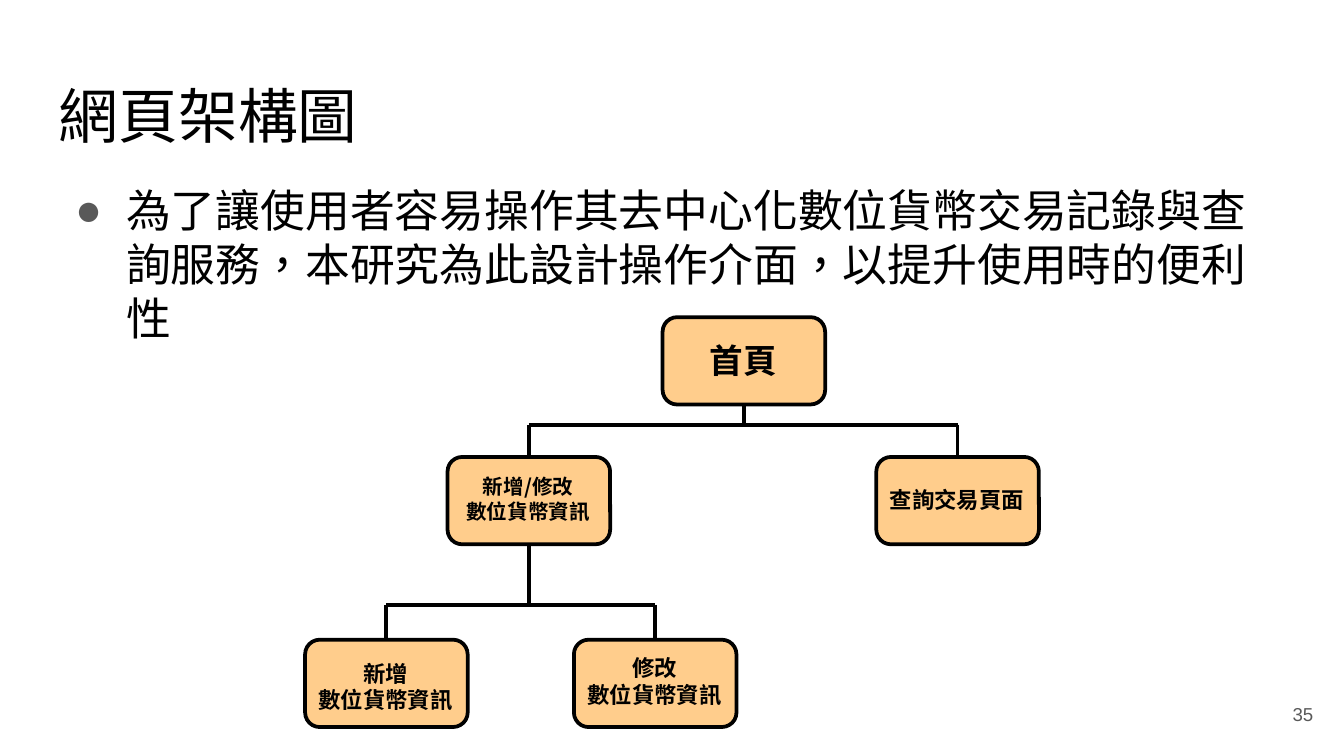
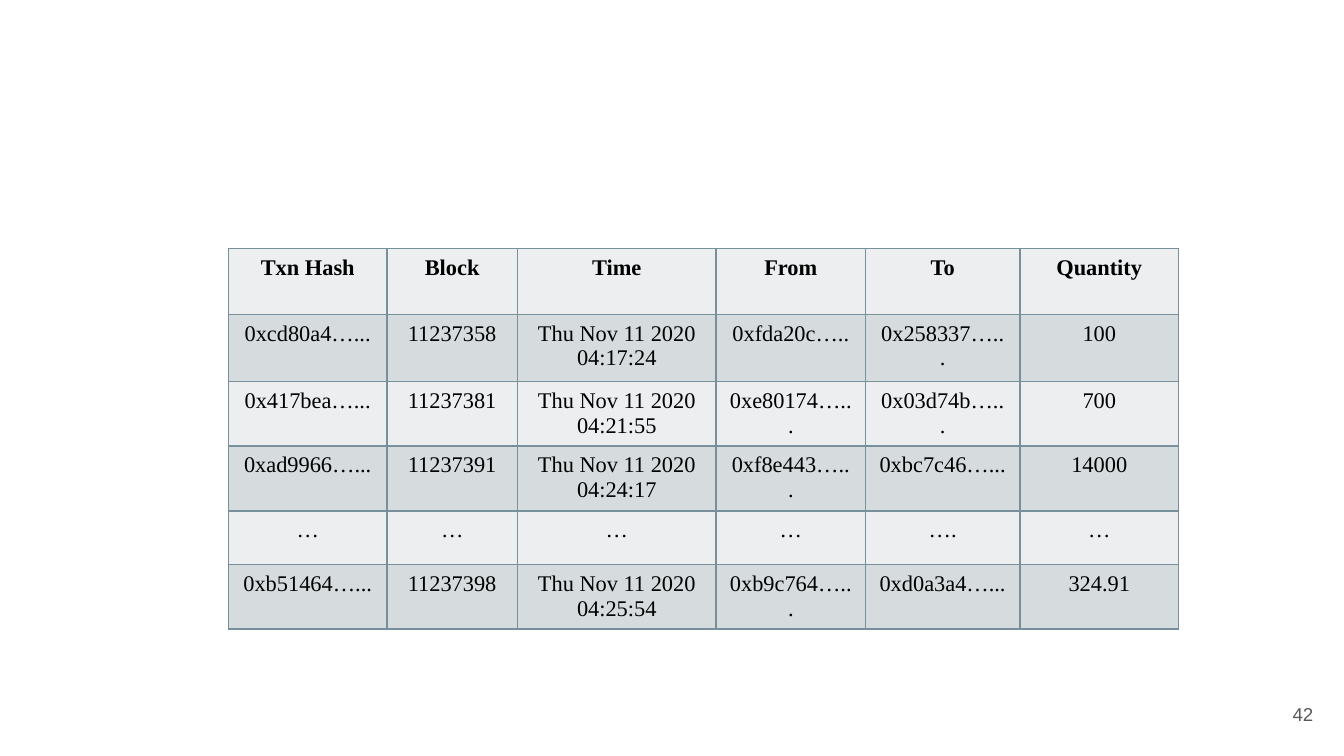
from dataclasses import dataclass

from lxml import etree
from pptx import Presentation
from pptx import util as u
from pptx.dml.color import RGBColor
from pptx.enum import shapes, text
from pptx.oxml import ns


@dataclass(frozen=True)
class Theme:
    ink: str = "000000"
    muted: str = "595959"
    node: str = "FFCD8C"
    border: str = "78909C"
    bands: tuple = ("ECEEEF", "D6DBDE")
    cjk: str = "Noto Sans CJK SC"
    sans: str = "Arial"
    serif: str = "Times New Roman"
    title: int = 32
    body: int = 24
    root: int = 18
    label: int = 12
    small: int = 11
    footer: int = 10
    line: int = 2
    leading: float = 1.2


def color(value):
    return RGBColor.from_string(value)


def add_element(parent, tag, **attributes):
    return etree.SubElement(parent, ns.qn(tag), attributes)


class Deck:
    def __init__(self, theme):
        self.theme = theme
        self.presentation = Presentation()
        self.presentation.slide_width = u.Inches(10)
        self.presentation.slide_height = u.Inches(10) * 9 // 16
        self.slide = None

    def new_slide(self, number):
        layout = self.presentation.slide_layouts[6]
        self.slide = self.presentation.slides.add_slide(layout)
        frame = self.text_box(9.27, 5.1, 0.6, 0.43)
        frame.vertical_anchor = text.MSO_ANCHOR.MIDDLE
        paragraph = frame.paragraphs[0]
        paragraph.alignment = text.PP_ALIGN.RIGHT
        self.run(paragraph, number, self.theme.footer, self.theme.sans, self.theme.muted)

    def text_box(self, left, top, width, height, inset=0.1):
        shape = self.slide.shapes.add_textbox(*map(u.Inches, (left, top, width, height)))
        frame = shape.text_frame
        frame.word_wrap = True
        frame.margin_left = frame.margin_right = u.Inches(0.1)
        frame.margin_top = frame.margin_bottom = u.Inches(inset)
        return frame

    def run(self, paragraph, words, size, font, ink=None, bold=False):
        run = paragraph.add_run()
        run.text = words
        run.font.size = u.Pt(size)
        run.font.name = font
        run.font.bold = bold
        run.font.color.rgb = color(ink or self.theme.ink)
        if font == self.theme.cjk:
            run.font._element.set("lang", "zh-TW")
            add_element(run.font._element, "a:ea", typeface=font)
            paragraph.line_spacing = u.Pt(size * self.theme.leading)

    def title(self, words):
        frame = self.text_box(0.34, 0.49, 9.32, 0.63)
        self.run(frame.paragraphs[0], words, self.theme.title, self.theme.cjk)

    def bullet(self, words):
        paragraph = self.text_box(0.34, 1.26, 9.32, 4.03).paragraphs[0]
        properties = paragraph._p.get_or_add_pPr()
        properties.set("marL", str(u.Inches(0.5)))
        properties.set("indent", str(u.Inches(-0.38)))
        bullet_color = add_element(properties, "a:buClr")
        add_element(bullet_color, "a:srgbClr", val=self.theme.muted)
        add_element(properties, "a:buFont", typeface=self.theme.sans)
        add_element(properties, "a:buChar", char="●")
        self.run(paragraph, words, self.theme.body, self.theme.cjk)

    def node(self, left, top, lines, size, label_drop):
        shape = self.slide.shapes.add_shape(
            shapes.MSO_SHAPE.ROUNDED_RECTANGLE,
            *map(u.Inches, (left, top, 1.21, 0.65)))
        shape.shadow.inherit = False
        shape.fill.solid()
        shape.fill.fore_color.rgb = color(self.theme.node)
        shape.line.color.rgb = color(self.theme.ink)
        shape.line.width = u.Pt(self.theme.line)
        self.label(left - 0.03, top + label_drop, lines, size)
        return shape

    def label(self, left, top, lines, size):
        height = len(lines) * size * self.theme.leading / 72 + 0.1
        frame = self.text_box(left, top, 1.26, height, inset=0.05)
        frame.auto_size = text.MSO_AUTO_SIZE.SHAPE_TO_FIT_TEXT
        for index, words in enumerate(lines):
            paragraph = frame.add_paragraph() if index else frame.paragraphs[0]
            paragraph.alignment = text.PP_ALIGN.CENTER
            self.run(paragraph, words, size, self.theme.cjk, bold=True)

    def line(self, x1, y1, x2, y2):
        connector = self.slide.shapes.add_connector(
            shapes.MSO_CONNECTOR.STRAIGHT, x1, y1, x2, y2)
        connector.line.color.rgb = color(self.theme.ink)
        connector.line.width = u.Pt(self.theme.line)
        add_element(connector._element.spPr, "a:effectLst")
        return connector

    def branch(self, parent, children, bus_top):
        y = u.Inches(bus_top)
        centers = [child.left + child.width // 2 for child in children]
        self.line(centers[0], y, centers[-1], y)
        middle = parent.left + parent.width // 2
        trunk = self.line(middle, parent.top + parent.height, middle, y)
        trunk.begin_connect(parent, 2)
        for child, center in zip(children, centers):
            self.line(center, y, center, child.top).end_connect(child, 0)

    def table(self, left, top, widths, heights, rows):
        frame = self.slide.shapes.add_table(
            len(rows), len(widths),
            *map(u.Inches, (left, top, sum(widths), sum(heights))))
        table = frame.table
        for column, width in zip(table.columns, widths):
            column.width = u.Inches(width)
        for index, (row, height, values) in enumerate(zip(table.rows, heights, rows)):
            row.height = u.Inches(height)
            for cell, value in zip(row.cells, values):
                self.cell(cell, value, self.theme.bands[index % 2], index == 0)

    def cell(self, cell, value, fill, bold):
        properties = cell._tc.get_or_add_tcPr()
        for side in ("L", "R", "T", "B"):
            edge = add_element(properties, f"a:ln{side}", w=str(u.Pt(1)))
            solid = add_element(edge, "a:solidFill")
            add_element(solid, "a:srgbClr", val=self.theme.border)
        cell.fill.solid()
        cell.fill.fore_color.rgb = color(fill)
        cell.margin_bottom = u.Inches(0.03)
        paragraph = cell.text_frame.paragraphs[0]
        paragraph.alignment = text.PP_ALIGN.CENTER
        self.run(paragraph, value, self.theme.label, self.theme.serif, bold=bold)


def add_site_map(deck):
    theme = deck.theme
    deck.new_slide("35")
    deck.title("網頁架構圖")
    deck.bullet("為了讓使用者容易操作其去中心化數位貨幣交易記錄與查詢服務，"
                "本研究為此設計操作介面，以提升使用時的便利性")
    currency = "數位貨幣資訊"
    home = deck.node(4.93, 2.36, ["首頁"], theme.root, 0.12)
    manage = deck.node(3.33, 3.4, ["新增/修改", currency], theme.small, 0.08)
    search = deck.node(6.52, 3.4, ["查詢交易頁面"], theme.label, 0.17)
    create = deck.node(2.27, 4.76, ["新增", currency], theme.label, 0.1)
    modify = deck.node(4.27, 4.76, ["修改", currency], theme.label, 0.06)
    deck.branch(home, [manage, search], 3.16)
    deck.branch(manage, [create, modify], 4.5)


def add_transactions(deck):
    deck.new_slide("42")
    rows = [
        ("Txn Hash", "Block", "Time", "From", "To", "Quantity"),
        ("0xcd80a4…...", "11237358", "Thu Nov 11 2020 04:17:24",
         "0xfda20c…..", "0x258337…...", "100"),
        ("0x417bea…...", "11237381", "Thu Nov 11 2020 04:21:55",
         "0xe80174…...", "0x03d74b…...", "700"),
        ("0xad9966…...", "11237391", "Thu Nov 11 2020 04:24:17",
         "0xf8e443…...", "0xbc7c46…...", "14000"),
        ("…", "…", "…", "…", "….", "…"),
        ("0xb51464…...", "11237398", "Thu Nov 11 2020 04:25:54",
         "0xb9c764…...", "0xd0a3a4…...", "324.91"),
    ]
    widths = [1.18, 0.97, 1.48, 1.11, 1.15, 1.18]
    heights = [0.49, 0.5] + [0.4] * 4
    deck.table(1.7, 1.85, widths, heights, rows)


def main():
    deck = Deck(Theme())
    add_site_map(deck)
    add_transactions(deck)
    deck.presentation.save("out.pptx")


if __name__ == "__main__":
    main()
